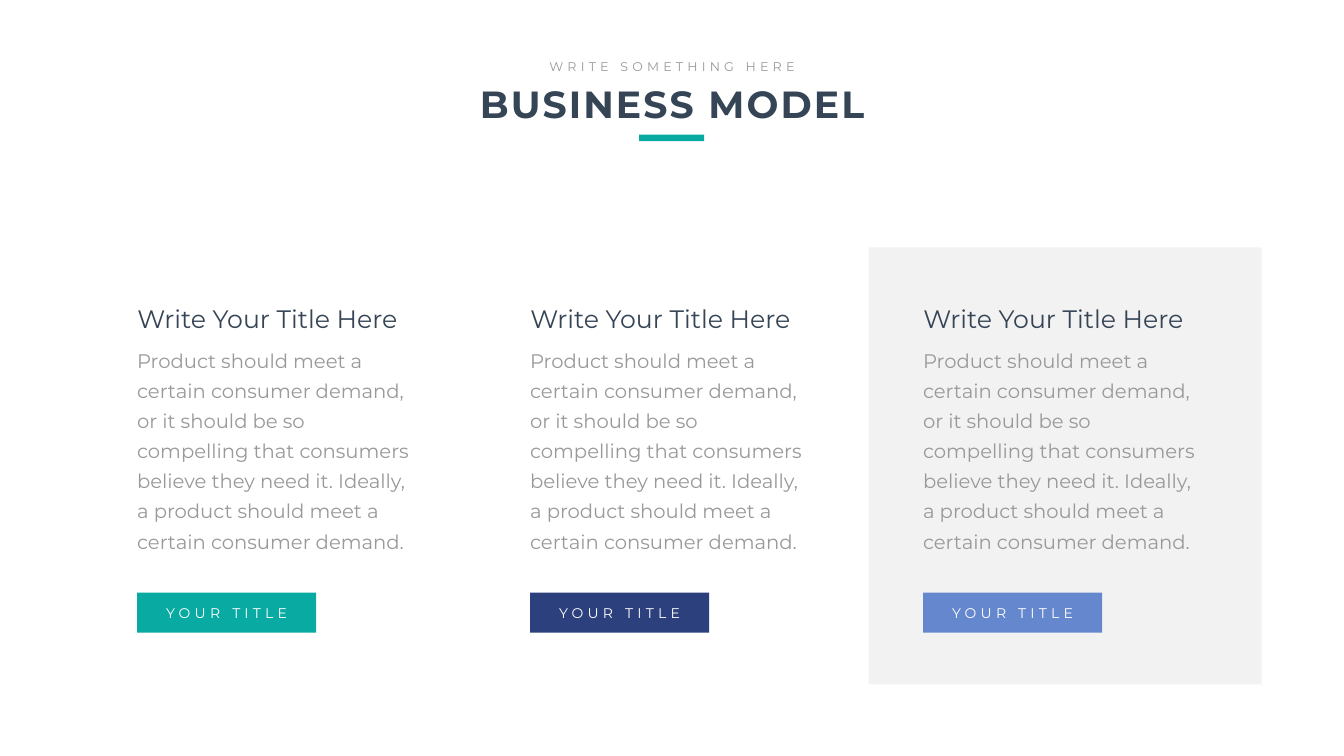
from pptx import Presentation
from pptx.dml.color import RGBColor
from pptx.enum.shapes import MSO_SHAPE
from pptx.enum.text import MSO_ANCHOR, MSO_AUTO_SIZE, PP_ALIGN
from pptx.util import Inches, Pt

WHITE = RGBColor(0xFF, 0xFF, 0xFF)
PALE = RGBColor(0xF2, 0xF2, 0xF2)
GREY = RGBColor(0x99, 0x99, 0x99)
SLATE = RGBColor(0x36, 0x45, 0x56)
TEAL = RGBColor(0x08, 0xAA, 0xA2)
NAVY = RGBColor(0x2C, 0x40, 0x7E)
BLUE = RGBColor(0x65, 0x87, 0xCD)

# Column grid, in percent of the slide width
LEFT, PITCH, INSET = 6.15, 29.24, 4.05
BODY = ("Product should meet a certain consumer demand, or it should be so "
        "compelling that consumers believe they need it. Ideally, a product "
        "should meet a certain consumer demand.")


def write(frame, text, face="Montserrat", size=28, color=GREY, bold=False,
          align=PP_ALIGN.LEFT, anchor=MSO_ANCHOR.TOP, track=0, lead=None,
          pad=(0.1, 0.05), wrap=True):
    """Fill a text frame; track and lead are points, pad is inches."""
    frame.word_wrap = wrap
    frame.auto_size = MSO_AUTO_SIZE.NONE
    frame.vertical_anchor = anchor
    frame.margin_left = frame.margin_right = Inches(pad[0])
    frame.margin_top = frame.margin_bottom = Inches(pad[1])
    para = frame.paragraphs[0]
    para.alignment = align
    if lead:
        para.line_spacing = Pt(lead)
    run = para.add_run()
    run.text = text
    font = run.font
    font.name, font.size, font.bold = face, Pt(size), bold
    font.color.rgb = color
    if track:
        run._r.get_or_add_rPr().set("spc", str(track * 100))


class Deck:
    """Slide builder; places are left, top, width, height in percent."""

    def __init__(self, wide, high):
        self.prs = Presentation()
        self.prs.slide_width = Inches(wide)
        self.prs.slide_height = Inches(high)
        self.slide = self.prs.slides.add_slide(self.prs.slide_layouts[5])

    def place(self, left, top, width, height):
        wide, high = self.prs.slide_width, self.prs.slide_height
        return [round(part * full / 100) for part, full in
                ((left, wide), (top, high), (width, wide), (height, high))]

    def title(self, text, *spot, **style):
        head = self.slide.shapes.title
        head.left, head.top, head.width, head.height = self.place(*spot)
        write(head.text_frame, text, **style)

    def label(self, text, *spot, **style):
        box = self.slide.shapes.add_textbox(*self.place(*spot))
        write(box.text_frame, text, **style)

    def block(self, fill, *spot):
        rect = self.slide.shapes.add_shape(MSO_SHAPE.RECTANGLE,
                                           *self.place(*spot))
        rect.shadow.inherit = False
        rect.fill.solid()
        rect.fill.fore_color.rgb = fill
        rect.line.fill.background()
        return rect

    def button(self, text, fill, *spot):
        write(self.block(fill, *spot).text_frame, text, size=20, color=WHITE,
              align=PP_ALIGN.CENTER, anchor=MSO_ANCHOR.MIDDLE, track=6,
              wrap=False)

    def column(self, edge, fill):
        self.label("Write Your Title Here", edge - 0.35, 39.8, 20.86, 4.73,
                   size=36, color=SLATE)
        self.label(BODY, edge - 0.9, 44.47, 22.36, 29.4,
                   lead=43, pad=(0.24, 0.12))
        self.button("YOUR TITLE", fill, edge, 78.4, 13.32, 5.27)


def main():
    deck = Deck(26.66, 15)

    # Heading
    deck.title("BUSINESS MODEL", 31.96, 10.33, 36.12, 6.73, size=54,
               color=SLATE, bold=True, align=PP_ALIGN.CENTER, track=3)
    deck.label("WRITE SOMETHING HERE", 40.29, 7.47, 19.43, 2.67, size=18,
               align=PP_ALIGN.CENTER, track=6)
    deck.block(TEAL, 47.56, 17.8, 4.84, 0.87)

    # Panel behind the last column
    deck.block(PALE, LEFT + 2 * PITCH, 32.73, PITCH, 57.8)

    # Three columns
    for index, fill in enumerate((TEAL, NAVY, BLUE)):
        deck.column(LEFT + index * PITCH + INSET, fill)

    deck.prs.save("out.pptx")


if __name__ == "__main__":
    main()
